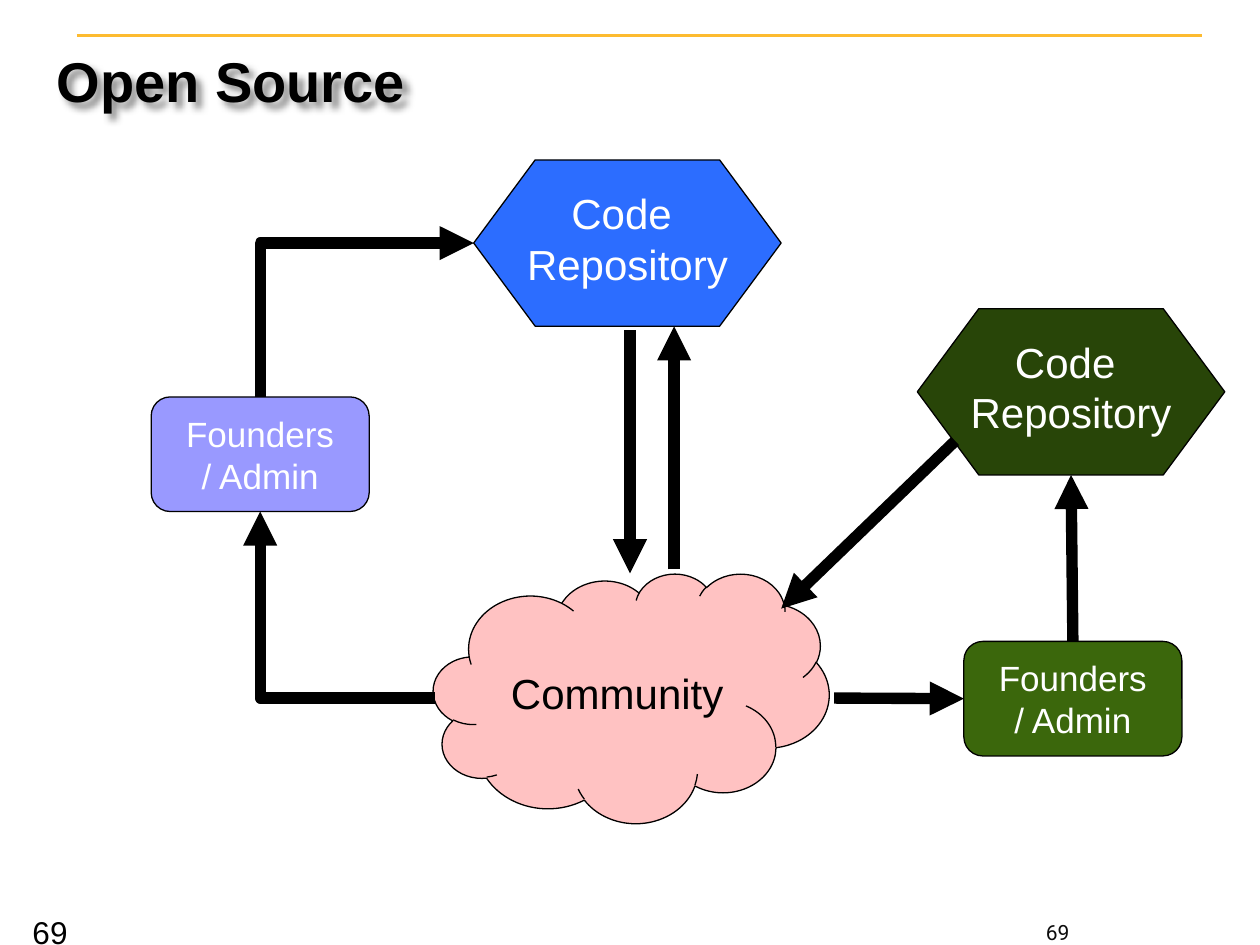
from lxml.etree import SubElement
from pptx import Presentation
from pptx.dml.color import RGBColor
from pptx.enum.shapes import MSO_CONNECTOR, MSO_SHAPE
from pptx.enum.text import MSO_ANCHOR, PP_ALIGN
from pptx.oxml.ns import qn
from pptx.util import Pt

BLACK, WHITE = "000000", "FFFFFF"
HEXAGON_SIZE = (175.7, 95)
FOUNDERS_SIZE = (124.6, 65.5)


def color(value):
    return RGBColor.from_string(value)


def add_text(paragraph, text, size, text_color, font="Arial", bold=False):
    """Add one run per line, with line breaks between them."""
    for index, line in enumerate(text.split("\n")):
        if index:
            paragraph.add_line_break()
        run = paragraph.add_run()
        run.text = line
        run.font.name = font
        run.font.size = Pt(size)
        run.font.bold = bold
        run.font.color.rgb = color(text_color)


def add_title(slide, text):
    title = slide.shapes.title
    title.left, title.top, title.width, title.height = map(Pt, (25.2, 15.1, 682.6, 61.2))
    title.text_frame.vertical_anchor = MSO_ANCHOR.MIDDLE
    paragraph = title.text_frame.paragraphs[0]
    paragraph.alignment = PP_ALIGN.LEFT
    add_text(paragraph, text, 32, BLACK, bold=True)
    # Soft shadow to the lower right
    effects = SubElement(title._element.spPr, qn("a:effectLst"))
    shadow = SubElement(effects, qn("a:outerShdw"), blurRad="50800", dist="50800",
                        dir="2700000", algn="tl", rotWithShape="0")
    shadow_color = SubElement(shadow, qn("a:srgbClr"), val=BLACK)
    SubElement(shadow_color, qn("a:alpha"), val="43000")


def add_page_number(slide, box, size, text_color, font, alignment, anchor):
    text_box = slide.shapes.add_textbox(*map(Pt, box))
    text_box.text_frame.word_wrap = True
    text_box.text_frame.vertical_anchor = anchor
    paragraph = text_box.text_frame.paragraphs[0]
    paragraph.alignment = alignment
    add_text(paragraph, "69", size, text_color, font)


def add_node(slide, kind, position, dimensions, fill, text, size, text_color=WHITE):
    shape = slide.shapes.add_shape(kind, *map(Pt, position + dimensions))
    shape.shadow.inherit = False
    shape.fill.solid()
    shape.fill.fore_color.rgb = color(fill)
    shape.line.color.rgb = color(BLACK)
    shape.line.width = Pt(0.75)
    shape.text_frame.vertical_anchor = MSO_ANCHOR.MIDDLE
    paragraph = shape.text_frame.paragraphs[0]
    paragraph.alignment = PP_ALIGN.CENTER
    add_text(paragraph, text, size, text_color)
    return shape


def add_repository(slide, position, fill, side_margin):
    shape = add_node(slide, MSO_SHAPE.FLOWCHART_PREPARATION, position, HEXAGON_SIZE,
                     fill, "Code \nRepository", 24)
    frame = shape.text_frame
    frame.word_wrap = False
    frame.margin_left = frame.margin_right = Pt(side_margin)
    frame.margin_top, frame.margin_bottom = Pt(5.8), Pt(11.5)
    return shape


def add_founders(slide, position, fill):
    return add_node(slide, MSO_SHAPE.ROUNDED_RECTANGLE, position, FOUNDERS_SIZE,
                    fill, "Founders\n/ Admin", 20)


def add_line(slide, start, end, line_color, width, kind=MSO_CONNECTOR.STRAIGHT):
    connector = slide.shapes.add_connector(kind, *map(Pt, start + end))
    connector.line.color.rgb = color(line_color)
    connector.line.width = Pt(width)
    SubElement(connector._element.spPr, qn("a:effectLst"))
    return connector


def add_arrow(slide, start, end, kind=MSO_CONNECTOR.STRAIGHT):
    connector = add_line(slide, start, end, BLACK, 6.5, kind)
    SubElement(connector.line._get_or_add_ln(), qn("a:tailEnd"), type="triangle")
    return connector


def add_corner_arrow(slide, start, end, upward_first=False):
    """Draw an arrow with one corner, leaving sideways or upward."""
    if upward_first:
        # The frame is stored unrotated, so its sides are swapped about the centre
        center_x, center_y = (start[0] + end[0]) / 2, (start[1] + end[1]) / 2
        half_width, half_height = abs(end[1] - start[1]) / 2, abs(end[0] - start[0]) / 2
        start = (center_x - half_width, center_y - half_height)
        end = (center_x + half_width, center_y + half_height)
    connector = add_arrow(slide, start, end, MSO_CONNECTOR.ELBOW)
    properties = connector._element.spPr
    properties.find(qn("a:prstGeom")).set("prst", "bentConnector2")
    if upward_first:
        properties.find(qn("a:xfrm")).set("rot", str(270 * 60000))


def main():
    presentation = Presentation()
    presentation.slide_width, presentation.slide_height = Pt(720), Pt(540)
    slide = presentation.slides.add_slide(presentation.slide_layouts[5])

    # Header and page numbers
    add_page_number(slide, (543.6, 525.6, 121.7, 14.4), 12, "0D0D0D", "Roboto",
                    PP_ALIGN.CENTER, MSO_ANCHOR.MIDDLE)
    add_line(slide, (43.9, 20.2), (686.9, 20.2), "FDBB30", 2)
    add_title(slide, "Open Source")
    add_page_number(slide, (11.5, 518.4, 54.7, 22.3), 18, BLACK, "Arial",
                    PP_ALIGN.LEFT, MSO_ANCHOR.TOP)

    # Original project and its community
    repository = add_repository(slide, (270.7, 91.4), "2C6DFF", 0)
    repository.text_frame.paragraphs[0].space_after = Pt(6)
    add_node(slide, MSO_SHAPE.CLOUD, (247.7, 327.6), (226.1, 142.6), "FFC2C2",
             "Community", 24, BLACK)
    add_founders(slide, (86.4, 226.8), "9999FF")
    add_arrow(slide, (360, 188.6), (360, 327.6))
    add_corner_arrow(slide, (248.4, 398.9), (148.7, 292.3))
    add_corner_arrow(slide, (148.7, 226.8), (270.7, 138.9), upward_first=True)
    add_arrow(slide, (385.2, 325.4), (385.2, 186.5))

    # Forked project
    fork_founders = add_founders(slide, (550.8, 366.5), "3B670C")
    fork_repository = add_repository(slide, (524.2, 176.4), "284508", 2.9)
    to_founders = add_arrow(slide, (476.6, 398.9), (550.8, 399.3))
    to_founders.end_connect(fork_founders, 1)
    to_repository = add_arrow(slide, (612.1, 366.5), (612.1, 271.4))
    to_repository.begin_connect(fork_founders, 0)
    to_repository.end_connect(fork_repository, 2)
    add_arrow(slide, (545.8, 252), (446.4, 347.8))

    presentation.save("out.pptx")


if __name__ == "__main__":
    main()
